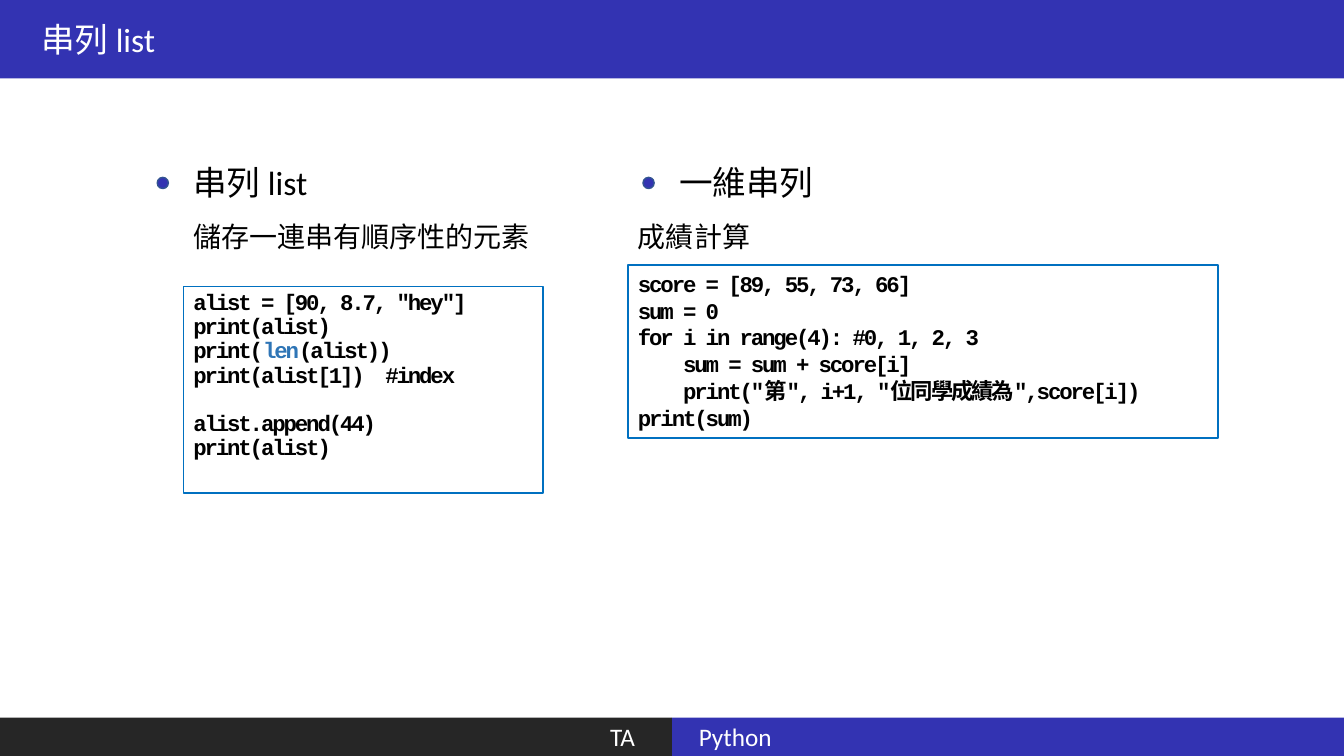
from pptx import Presentation
from pptx import util as u
from pptx.dml.color import RGBColor
from pptx.enum import shapes, text

INDIGO, CHARCOAL, WHITE, BLACK = "3333B2", "262626", "FFFFFF", "000000"
DOT_EDGE, CODE_EDGE, KEYWORD = "325491", "0070C0", "2E75B6"


def rgb(color):
    return RGBColor.from_string(color)


class Deck:
    """Holds the style and the current slide; lengths are in points."""

    body_font, code_font = "Calibri", "Courier New"
    heading_size, note_size, footer_size, code_size = 24, 20, 18, 16
    blank_line = 17.3

    def __init__(self, width, height):
        self.prs = Presentation()
        self.prs.slide_width, self.prs.slide_height = u.Pt(width), u.Pt(height)
        self.slide = self.prs.slides.add_slide(self.prs.slide_layouts[6])

    def run(self, paragraph, words, size, color, font=body_font):
        run = paragraph.add_run()
        run.text = words
        run.font.size, run.font.name = u.Pt(size), font
        run.font.color.rgb = rgb(color)
        return run

    def shape(self, kind, box, fill, edge=None):
        shape = self.slide.shapes.add_shape(kind, *map(u.Pt, box))
        shape.shadow.inherit = False
        shape.fill.solid()
        shape.fill.fore_color.rgb = rgb(fill)
        if edge:
            shape.line.color.rgb = rgb(edge)
            shape.line.width = u.Pt(1)
        else:
            shape.line.fill.background()
        return shape

    def bar(self, box, fill, words, size, inset, align=text.PP_ALIGN.LEFT):
        frame = self.shape(shapes.MSO_SHAPE.RECTANGLE, box, fill).text_frame
        frame.vertical_anchor = text.MSO_ANCHOR.MIDDLE
        frame.margin_left = frame.margin_right = u.Pt(inset)
        frame.paragraphs[0].alignment = align
        self.run(frame.paragraphs[0], words, size, WHITE)

    def label(self, box, words, size):
        frame = self.slide.shapes.add_textbox(*map(u.Pt, box)).text_frame
        frame.word_wrap = True
        self.run(frame.paragraphs[0], words, size, BLACK)

    def heading(self, left, top, words):
        self.shape(shapes.MSO_SHAPE.OVAL, (left - 18.7, top + 14.4, 8, 8), INDIGO, DOT_EDGE)
        self.label((left, top, 147, 36), words, self.heading_size)

    def code(self, box, lines, spacing=1.0, gap_before=None):
        """Each line is a list of (words, color) parts."""
        frame = self.shape(shapes.MSO_SHAPE.RECTANGLE, box, WHITE, CODE_EDGE).text_frame
        frame.word_wrap = True
        frame.vertical_anchor = text.MSO_ANCHOR.TOP
        for number, parts in enumerate(lines):
            line = frame.add_paragraph() if number else frame.paragraphs[0]
            line.alignment = text.PP_ALIGN.LEFT
            line.line_spacing = spacing
            if number and number == gap_before:
                line.space_before = u.Pt(self.blank_line)
            for words, color in parts:
                run = self.run(line, words, self.code_size, color, self.code_font)
                run.font.bold = True
                run._r.get_or_add_rPr().set("spc", "-150")


def plain(*lines):
    return [[(line, BLACK)] for line in lines]


def main():
    width, height = 960, 540
    deck = Deck(width, height)

    # Title bar and two-part footer
    half, footer_top = width / 2, 512.6
    footer_height = height - footer_top
    deck.bar((0, 0, width, 56), INDIGO, "串列 list", deck.heading_size, 29.3)
    deck.bar((half, footer_top, half, footer_height), INDIGO, "Python", deck.footer_size, 19.2)
    deck.bar((0, footer_top, half, footer_height), CHARCOAL, "TA", deck.footer_size, 26.4,
             text.PP_ALIGN.RIGHT)

    # Headings and notes of both columns
    heading_top, note_top = 112.3, 153.4
    list_left, score_left = 131, 448.6
    deck.heading(list_left, heading_top, "串列 list")
    deck.label((list_left, note_top, 317.5, 31.5), "儲存一連串有順序性的元素", deck.note_size)
    deck.heading(478, heading_top, "一維串列")
    deck.label((score_left, note_top, 317.5, 31.5), "成績計算", deck.note_size)

    # List basics
    list_code = plain('alist = [90, 8.7, "hey"]', "print(alist)")
    list_code.append([("print(", BLACK), ("len", KEYWORD), ("(alist))", BLACK)])
    list_code += plain("print(alist[1])  #index", "alist.append(44)", "print(alist)")
    deck.code((list_left, 204.5, 257, 147.6), list_code, spacing=0.9, gap_before=4)

    # Score total
    score_code = plain(
        "score = [89, 55, 73, 66]",
        "sum = 0",
        "for i in range(4): #0, 1, 2, 3",
        "    sum = sum + score[i]",
        '    print("第", i+1, "位同學成績為",score[i])',
        "print(sum)",
    )
    deck.code((score_left, 189.2, 421.4, 123.8), score_code)

    deck.prs.save("out.pptx")


if __name__ == "__main__":
    main()
